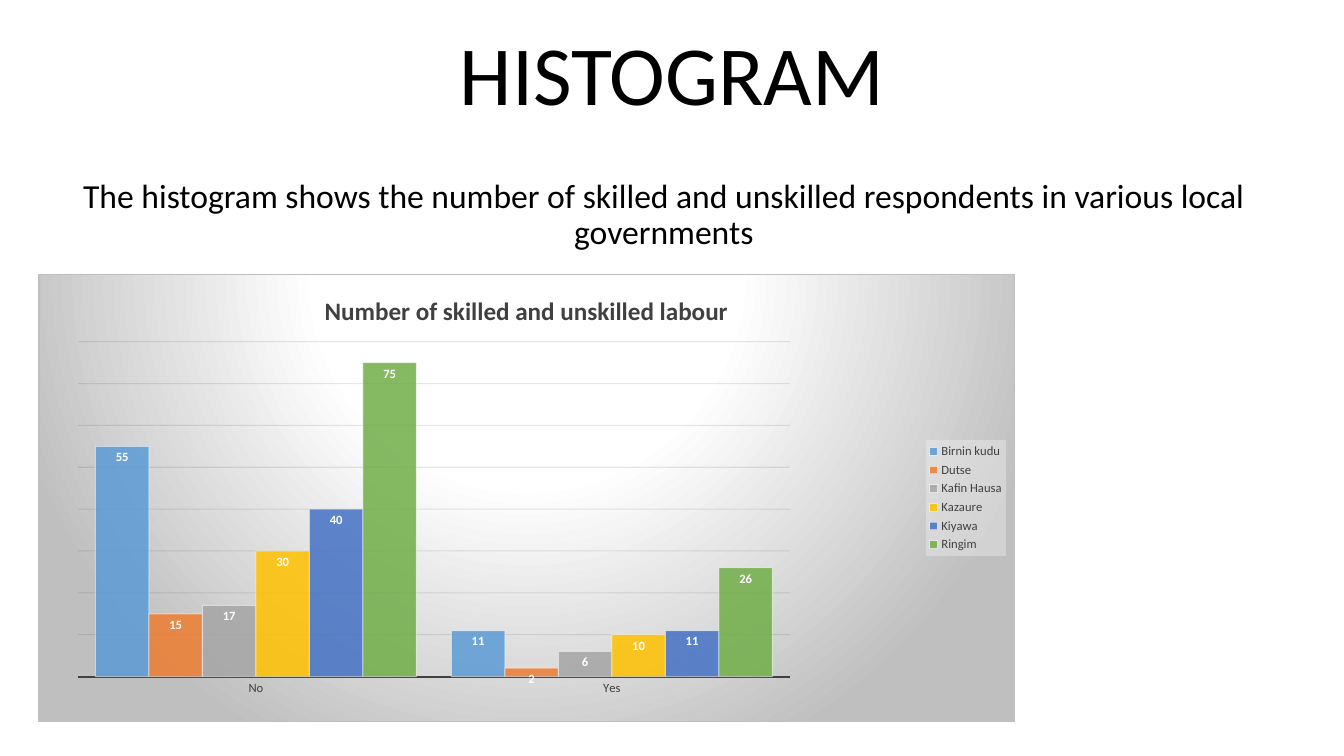
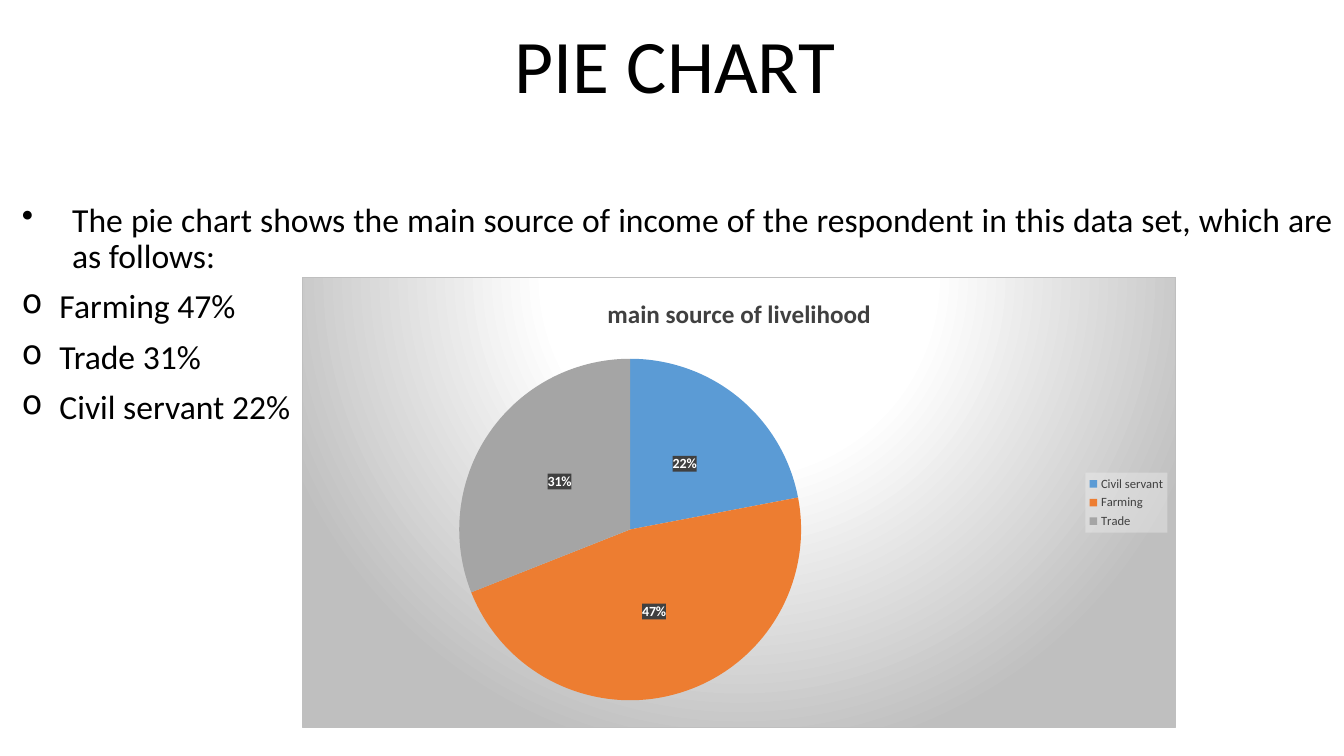
from dataclasses import dataclass

from lxml import etree
from pptx import Presentation
from pptx import util as u
from pptx.chart.data import CategoryChartData
from pptx.dml.color import RGBColor
from pptx.enum import chart as ch
from pptx.enum import text
from pptx.oxml import parse_xml
from pptx.oxml.ns import nsdecls, qn

FONT = "Calibri"
COLORS = {
    "black": "000000", "white": "FFFFFF", "dark": "404040", "grid": "0D0D0D",
    "edge": "BFBFBF", "legend": "F2F2F2", "blue": "5B9BD5", "orange": "ED7D31",
    "gray": "A5A5A5", "gold": "FFC000", "navy": "4472C4", "green": "70AD47",
}
CENTER, JUSTIFY = text.PP_ALIGN.CENTER, text.PP_ALIGN.JUSTIFY


@dataclass
class Box:
    """Position and size in centimetres."""
    left: float
    top: float
    width: float
    height: float

    def emu(self) -> tuple:
        return tuple(u.Cm(v) for v in (self.left, self.top, self.width, self.height))


@dataclass
class Para:
    text: str
    bullet: str = ""
    indent: float = 0


def rgb(name: str) -> RGBColor:
    return RGBColor.from_string(COLORS[name])


def style_font(font, size: float, color: str, bold: bool = False) -> None:
    font.name, font.size, font.bold = FONT, u.Pt(size), bold
    font.color.rgb = rgb(color)


def add_text(s, box: Box, paras: list[Para], *, size: float, align=CENTER,
             anchor=text.MSO_ANCHOR.TOP, before: float = 0) -> None:
    tf = s.shapes.add_textbox(*box.emu()).text_frame
    tf.word_wrap = True
    tf.vertical_anchor = anchor
    for i, para in enumerate(paras):
        p = tf.paragraphs[0] if i == 0 else tf.add_paragraph()
        p.alignment, p.line_spacing, p.space_before = align, 0.9, u.Pt(before)
        r = p.add_run()
        r.text = para.text
        style_font(r.font, size, "black")
        if para.bullet:
            pPr = p._p.get_or_add_pPr()
            pPr.set("marL", str(u.Cm(para.indent)))
            pPr.set("indent", str(-u.Cm(para.indent)))
            etree.SubElement(pPr, qn("a:buChar")).set("char", para.bullet)


def add_title(s, box: Box, title: str, size: float) -> None:
    add_text(s, box, [Para(title)], size=size, anchor=text.MSO_ANCHOR.BOTTOM)


# Chart formatting that needs XML
def shape_props(content: str):
    return parse_xml(f'<c:spPr {nsdecls("c", "a")}>{content}</c:spPr>')


def solid(color: str, alpha: int) -> str:
    return (f'<a:solidFill><a:srgbClr val="{COLORS[color]}">'
            f'<a:alpha val="{alpha * 1000}"/></a:srgbClr></a:solidFill>')


def spotlight() -> str:
    stops = "".join(f'<a:gs pos="{pos * 1000}"><a:srgbClr val="{COLORS[c]}"/></a:gs>'
                    for pos, c in ((0, "white"), (39, "white"), (100, "edge")))
    return (f'<a:gradFill><a:gsLst>{stops}</a:gsLst><a:path path="circle">'
            '<a:fillToRect l="50000" t="-80000" r="50000" b="180000"/></a:path></a:gradFill>'
            f'<a:ln w="{u.Pt(0.75)}">{solid("edge", 100)}</a:ln>')


def set_alpha(chart, query: str, alpha: int) -> None:
    for clr in chart.element.xpath(query):
        etree.SubElement(clr, qn("a:alpha")).set("val", str(alpha * 1000))


def set_plot_layout(chart, *fractions: float) -> None:
    area = chart.element.xpath(".//c:plotArea")[0]
    for old in area.findall(qn("c:layout")):
        area.remove(old)
    layout = etree.Element(qn("c:layout"))
    manual = etree.SubElement(layout, qn("c:manualLayout"))
    settings = [("layoutTarget", "inner"), ("xMode", "edge"), ("yMode", "edge"),
                *zip("xywh", fractions)]
    for tag, value in settings:
        etree.SubElement(manual, qn(f"c:{tag}")).set("val", str(value))
    area.insert(0, layout)


def add_chart(s, kind, box: Box, title: str, cats: list[str],
              series: dict[str, list[int]], plot: tuple):
    """Add a chart with the shared background, title and legend."""
    data = CategoryChartData()
    data.categories = cats
    for name, values in series.items():
        data.add_series(name, values)
    chart = s.shapes.add_chart(kind, *box.emu(), data).chart
    style_font(chart.font, 10, "black")
    chart.element.find(qn("c:chart")).addnext(shape_props(spotlight()))
    # Title
    chart.has_title = True
    r = chart.chart_title.text_frame.paragraphs[0].add_run()
    r.text = title
    style_font(r.font, 18, "dark", True)
    chart.chart_title.include_in_layout = False
    # Legend
    chart.has_legend = True
    chart.legend.position = ch.XL_LEGEND_POSITION.RIGHT
    chart.legend.include_in_layout = False
    style_font(chart.legend.font, 9, "dark")
    chart.element.xpath(".//c:legend/c:txPr")[0].addprevious(
        shape_props(solid("legend", 39)))
    set_plot_layout(chart, *plot)
    return chart


def add_labels(ser, size: float, position, percent: bool = False) -> None:
    labels = ser.data_labels
    style_font(labels.font, size, "white", True)
    labels.show_value, labels.show_percentage = not percent, percent
    if percent:
        labels.number_format, labels.number_format_is_linked = "0%", False
    labels.position = position


def histogram_slide(s) -> None:
    add_title(s, Box(4.24, 0.69, 25.4, 2.54), "HISTOGRAM", 60)
    add_text(s, Box(0.5, 4.4, 32.46, 14.65), [Para(
        "The histogram shows the number of skilled and unskilled respondents "
        "in various local governments")], size=24, before=10)
    towns = {"Birnin kudu": [55, 11], "Dutse": [15, 2], "Kafin Hausa": [17, 6],
             "Kazaure": [30, 10], "Kiyawa": [40, 11], "Ringim": [75, 26]}
    chart = add_chart(s, ch.XL_CHART_TYPE.COLUMN_CLUSTERED, Box(0.97, 6.91, 24.6, 11.28),
                      "Number of skilled and unskilled labour", ["No", "Yes"], towns,
                      (0.04, 0.15, 0.73, 0.75))
    # Columns
    bars = chart.plots[0]
    bars.gap_width, bars.overlap, bars.vary_by_categories = 65, 0, False
    for ser, color in zip(bars.series, ("blue", "orange", "gray", "gold", "navy", "green")):
        ser.format.fill.solid()
        ser.format.fill.fore_color.rgb = rgb(color)
        ser.format.line.color.rgb = rgb("white")
        ser.format.line.width = u.Pt(0.75)
        add_labels(ser, 9, ch.XL_LABEL_POSITION.INSIDE_END)
    set_alpha(chart, ".//c:ser/c:spPr/a:solidFill/a:srgbClr", 85)
    set_alpha(chart, ".//c:ser/c:spPr/a:ln//a:srgbClr", 50)
    # Axes
    cat, val = chart.category_axis, chart.value_axis
    cat.major_tick_mark = ch.XL_TICK_MARK.NONE
    style_font(cat.tick_labels.font, 9, "dark")
    cat.format.line.color.rgb = rgb("dark")
    cat.format.line.width = u.Pt(1.5)
    val.visible = False
    val.minimum_scale, val.maximum_scale, val.major_unit = 0, 80, 10
    val.major_gridlines.format.line.color.rgb = rgb("grid")
    val.major_gridlines.format.line.width = u.Pt(0.75)
    set_alpha(chart, ".//c:majorGridlines//a:srgbClr", 10)


def pie_slide(s) -> None:
    add_title(s, Box(0.58, 0.36, 32.87, 2.54), "PIE CHART", 54)
    sources = {"Civil servant": 22, "Farming": 47, "Trade": 31}
    intro = Para("The pie chart shows the main source of income of the respondent "
                 "in this data set, which are as follows:", "•", 1.27)
    ranked = sorted(sources.items(), key=lambda item: -item[1])
    add_text(s, Box(0.3, 5, 33.56, 14.05),
             [intro, *(Para(f"{name} {share}%", "o", 0.95) for name, share in ranked)],
             size=24, align=JUSTIFY, before=10)
    chart = add_chart(s, ch.XL_CHART_TYPE.PIE, Box(7.62, 6.99, 22.02, 11.35),
                      "main source of livelihood", list(sources),
                      {"Series 1": list(sources.values())}, (0.15, 0.18, 0.45, 0.76))
    # Slices
    ser = chart.plots[0].series[0]
    for i, color in enumerate(("blue", "orange", "gray")):
        fill = ser.points[i].format.fill
        fill.solid()
        fill.fore_color.rgb = rgb(color)
    add_labels(ser, 10, ch.XL_LABEL_POSITION.CENTER, percent=True)
    chart.element.xpath(".//c:ser/c:dLbls/c:txPr")[0].addprevious(
        shape_props(solid("dark", 90)))


def main() -> None:
    prs = Presentation()
    prs.slide_width, prs.slide_height = u.Cm(33.87), u.Cm(19.05)
    for build in (histogram_slide, pie_slide):
        build(prs.slides.add_slide(prs.slide_layouts[6]))
    prs.save("out.pptx")


if __name__ == "__main__":
    main()
